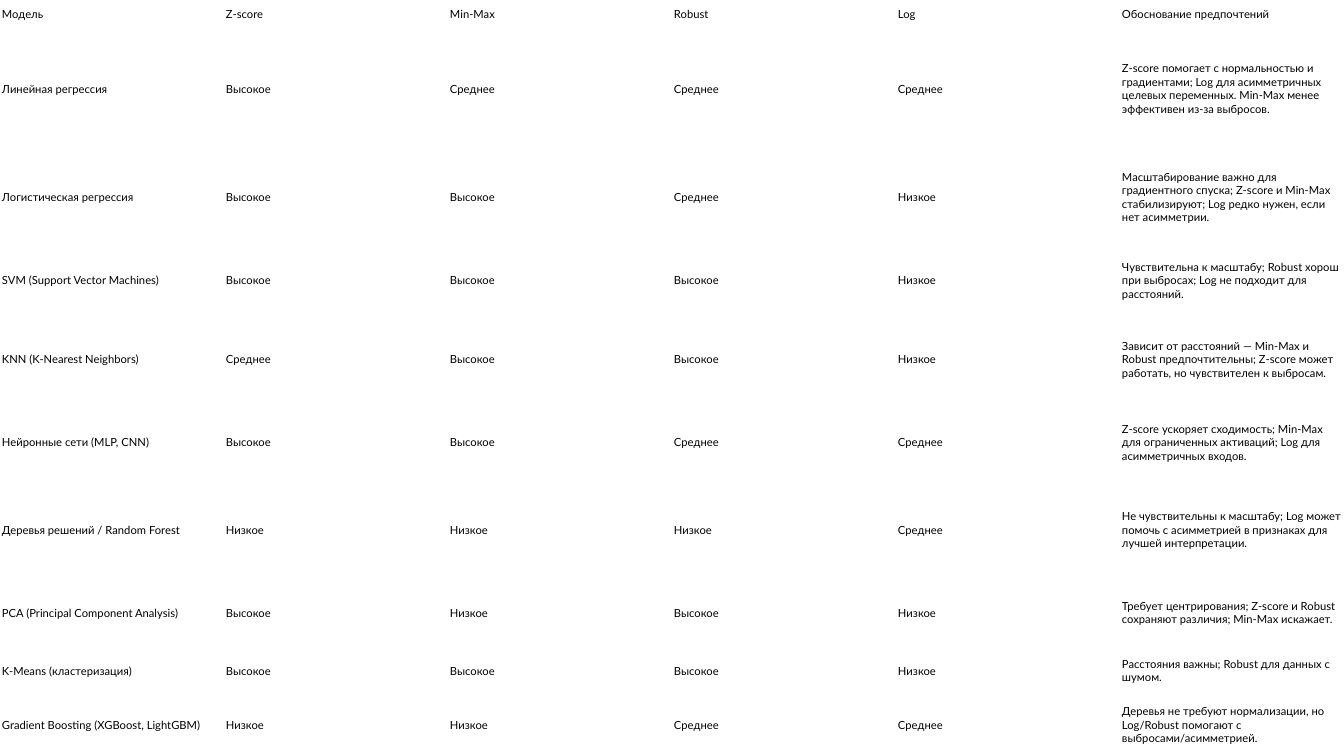
from pptx import Presentation
from pptx.dml.color import RGBColor
from pptx.enum.text import MSO_ANCHOR
from pptx.util import Inches, Pt

MIDDLE = MSO_ANCHOR.MIDDLE
HIGH, MID, LOW = "Высокое", "Среднее", "Низкое"

WIDTH, HEIGHT = 13.33, 7.5
PAD_X, PAD_Y = 0.02, 0.01
FONT, SIZE, INK = "Lato", 8, "000000"

# Row height, then the cell texts
ROWS = [
    (0.28, "Модель", "Z-score", "Min-Max", "Robust", "Log",
     "Обоснование предпочтений"),
    (1.2, "Линейная регрессия", HIGH, MID, MID, MID,
     "Z-score помогает с нормальностью и градиентами; Log для асимметричных "
     "целевых переменных. Min-Max менее эффективен из-за выбросов."),
    (0.95, "Логистическая регрессия", HIGH, HIGH, MID, LOW,
     "Масштабирование важно для градиентного спуска; Z-score и Min-Max "
     "стабилизируют; Log редко нужен, если нет асимметрии."),
    (0.7, "SVM (Support Vector Machines)", HIGH, HIGH, HIGH, LOW,
     "Чувствительна к масштабу; Robust хорош при выбросах; "
     "Log не подходит для расстояний."),
    (0.87, "KNN (K-Nearest Neighbors)", MID, HIGH, HIGH, LOW,
     "Зависит от расстояний — Min-Max и Robust предпочтительны; "
     "Z-score может работать, но чувствителен к выбросам."),
    (0.78, "Нейронные сети (MLP, CNN)", HIGH, HIGH, MID, MID,
     "Z-score ускоряет сходимость; Min-Max для ограниченных активаций; "
     "Log для асимметричных входов."),
    (0.95, "Деревья решений / Random Forest", LOW, LOW, LOW, MID,
     "Не чувствительны к масштабу; Log может помочь с асимметрией "
     "в признаках для лучшей интерпретации."),
    (0.7, "PCA (Principal Component Analysis)", HIGH, LOW, HIGH, LOW,
     "Требует центрирования; Z-score и Robust сохраняют различия; "
     "Min-Max искажает."),
    (0.45, "K-Means (кластеризация)", HIGH, HIGH, HIGH, LOW,
     "Расстояния важны; Robust для данных с шумом."),
    (0.62, "Gradient Boosting (XGBoost, LightGBM)", LOW, LOW, MID, MID,
     "Деревья не требуют нормализации, но Log/Robust помогают "
     "с выбросами/асимметрией."),
]


def color(code):
    return RGBColor.from_string(code)


def fill_cell(cell, text):
    cell.fill.background()
    cell.vertical_anchor = MIDDLE
    cell.margin_left = cell.margin_right = Inches(PAD_X)
    cell.margin_top = cell.margin_bottom = Inches(PAD_Y)
    cell.text = text
    font = cell.text_frame.paragraphs[0].font
    font.name, font.size = FONT, Pt(SIZE)
    font.color.rgb = color(INK)


def main():
    prs = Presentation()
    prs.slide_width, prs.slide_height = Inches(WIDTH), Inches(HEIGHT)
    slide = prs.slides.add_slide(prs.slide_layouts[6])

    cols = len(ROWS[0]) - 1
    table = slide.shapes.add_table(
        len(ROWS), cols, 0, 0, Inches(WIDTH), Inches(HEIGHT)).table
    table.first_row = table.horz_banding = False

    for row, (height, *texts) in zip(table.rows, ROWS):
        row.height = Inches(height)
        for cell, text in zip(row.cells, texts):
            fill_cell(cell, text)

    prs.save("out.pptx")


if __name__ == "__main__":
    main()
